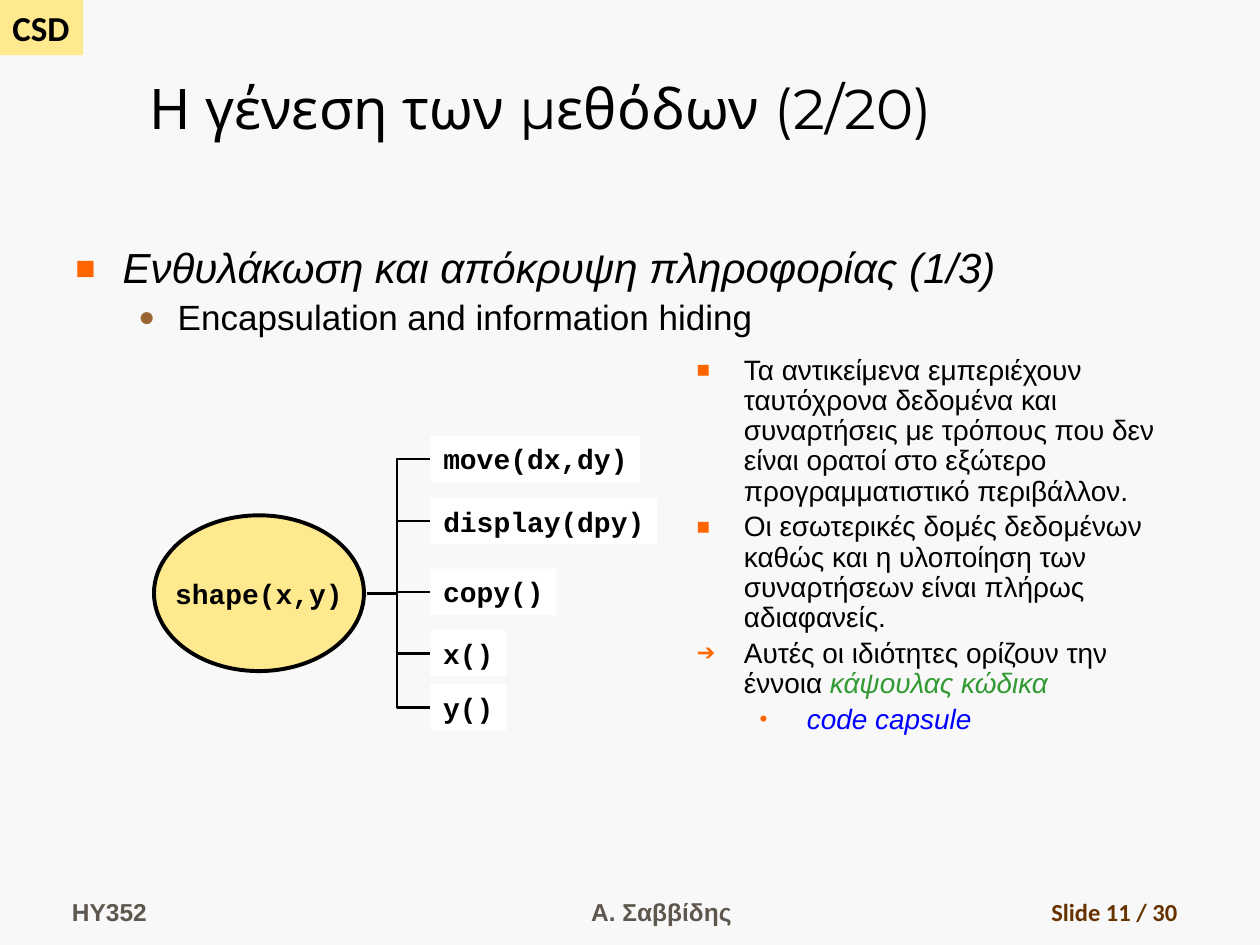
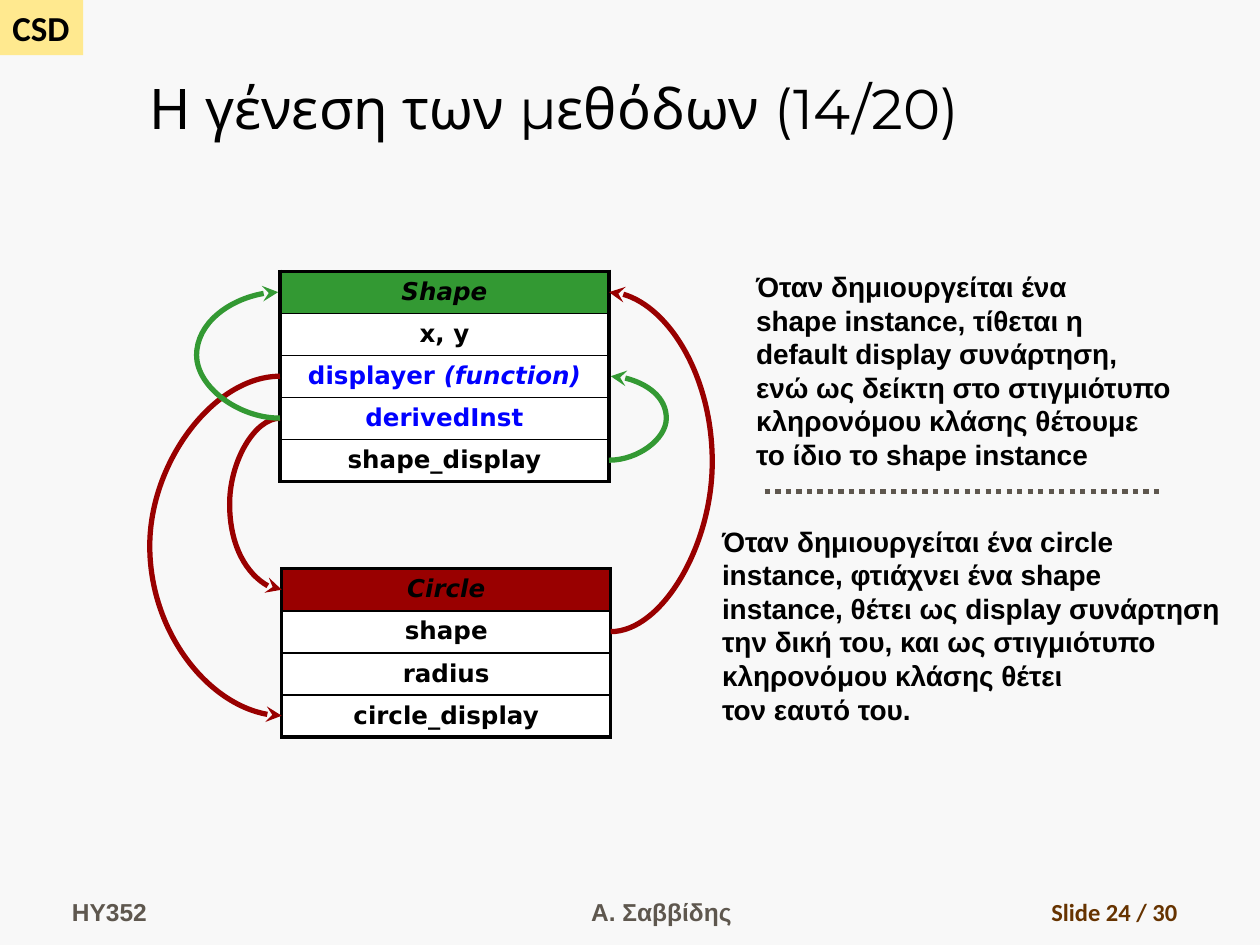
from dataclasses import dataclass

from lxml.etree import SubElement
from pptx import Presentation
from pptx.dml.color import RGBColor
from pptx.enum.dml import MSO_LINE
from pptx.enum.shapes import MSO_CONNECTOR as Connector, MSO_SHAPE as Preset
from pptx.enum.text import MSO_ANCHOR as Anchor, MSO_AUTO_SIZE as AutoSize, PP_ALIGN as Align
from pptx.oxml.ns import qn
from pptx.util import Pt

BLACK = RGBColor(0x00, 0x00, 0x00)
WHITE = RGBColor(0xFF, 0xFF, 0xFF)
PAPER = RGBColor(0xF8, 0xF8, 0xF8)
YELLOW = RGBColor(0xFF, 0xE9, 0x8F)
GRAY = RGBColor(0x5E, 0x57, 0x4E)
DARK_BROWN = RGBColor(0x66, 0x33, 0x00)
BROWN = RGBColor(0x99, 0x66, 0x33)
ORANGE = RGBColor(0xFF, 0x66, 0x00)
GREEN = RGBColor(0x33, 0x99, 0x33)
RED = RGBColor(0x99, 0x00, 0x00)
BLUE = RGBColor(0x00, 0x00, 0xFF)

ROW_HEIGHT = 24
TABLE_WIDTH = 188


@dataclass
class Bullet:
    character: str
    color: RGBColor = ORANGE
    left: float = 27
    hanging: float = 27


@dataclass
class Line:
    text: object
    size: float = 16
    font: str = "Arial"
    color: RGBColor = BLACK
    bold: bool = False
    italic: bool = False
    align: Align = Align.LEFT
    bullet: Bullet = None


class Deck:
    def __init__(self):
        self.presentation = Presentation()
        self.presentation.slide_width = Pt(720)
        self.presentation.slide_height = Pt(540)
        self.slide = None

    def add_slide(self, title, number):
        self.slide = self.presentation.slides.add_slide(self.presentation.slide_layouts[5])
        background = self.slide.background.fill
        background.solid()
        background.fore_color.rgb = PAPER
        self.shape(Preset.RECTANGLE, 0, 0, 47.5, 31.5, YELLOW,
                   Line("CSD", 20, "Calibri", bold=True), grow=True)
        placeholder = self.slide.shapes.title
        self.place(placeholder, 78, 12, 642, 72)
        self.fill_text(placeholder, [Line(title, 32, "Montserrat")], Anchor.BOTTOM)
        self.footer(34, 158, Line("HY352", 14, color=GRAY, bold=True))
        self.footer(264, 228, Line("Α. Σαββίδης", 14, color=GRAY, bold=True, align=Align.CENTER))
        self.footer(530, 150, Line(f"Slide {number} / 30", 14, "Calibri", DARK_BROWN, True,
                                   align=Align.RIGHT))

    def footer(self, left, width, line):
        self.text(left, 497, width, 36, [line], Anchor.BOTTOM)

    def place(self, shape, left, top, width, height):
        shape.left, shape.top = Pt(left), Pt(top)
        shape.width, shape.height = Pt(width), Pt(height)

    def fill_text(self, shape, lines, anchor=Anchor.TOP, wrap=True, grow=False):
        frame = shape.text_frame
        frame.word_wrap = wrap
        frame.auto_size = AutoSize.SHAPE_TO_FIT_TEXT if grow else AutoSize.NONE
        frame.vertical_anchor = anchor
        for index, line in enumerate(lines):
            paragraph = frame.add_paragraph() if index else frame.paragraphs[0]
            self.set_line(paragraph, line)

    def set_line(self, paragraph, line):
        paragraph.alignment = line.align
        if line.bullet:
            paragraph.line_spacing = 0.9
            paragraph.space_before = Pt(line.size * 0.2)
            self.bullet(paragraph, line.bullet)
        font = paragraph.font
        font.name, font.size = line.font, Pt(line.size)
        font.bold, font.italic = line.bold, line.italic
        font.color.rgb = line.color
        if isinstance(line.text, str):
            paragraph.add_run().text = line.text
            return
        for text, color, italic in line.text:
            run = paragraph.add_run()
            run.text = text
            run.font.color.rgb = color
            run.font.italic = italic

    def bullet(self, paragraph, bullet):
        properties = paragraph._p.get_or_add_pPr()
        properties.set("marL", str(Pt(bullet.left)))
        properties.set("indent", str(-Pt(bullet.hanging)))
        color = SubElement(properties, qn("a:buClr"))
        SubElement(color, qn("a:srgbClr"), val=str(bullet.color))
        SubElement(properties, qn("a:buSzPct"), val="80000")
        SubElement(properties, qn("a:buFont"), typeface="Arial")
        SubElement(properties, qn("a:buChar"), char=bullet.character)

    def text(self, left, top, width, height, lines, anchor=Anchor.TOP, wrap=True):
        box = self.slide.shapes.add_textbox(Pt(left), Pt(top), Pt(width), Pt(height))
        self.fill_text(box, lines, anchor, wrap, grow=not wrap)

    def shape(self, preset, left, top, width, height, color, line, outline=None, grow=False):
        shape = self.slide.shapes.add_shape(preset, Pt(left), Pt(top), Pt(width), Pt(height))
        shape.shadow.inherit = False
        shape.fill.solid()
        shape.fill.fore_color.rgb = color
        if outline:
            shape.line.color.rgb = BLACK
            shape.line.width = Pt(outline)
        else:
            shape.line.fill.background()
        self.fill_text(shape, [line], Anchor.TOP if grow else Anchor.MIDDLE, False, grow)

    def connector(self, kind, begin, end, color, width, bend=None, arrow=False, dash=None):
        connector = self.slide.shapes.add_connector(kind, *map(Pt, begin + end))
        connector.line.color.rgb = color
        connector.line.width = Pt(width)
        if dash:
            connector.line.dash_style = dash
        properties = connector._element.spPr
        if bend is not None:
            ratio = (bend - begin[0]) / (end[0] - begin[0])
            guides = properties.find(qn("a:prstGeom")).get_or_add_avLst()
            SubElement(guides, qn("a:gd"), name="adj1", fmla=f"val {round(ratio * 100000)}")
        if arrow:
            SubElement(properties.find(qn("a:ln")), qn("a:tailEnd"), type="stealth")
        SubElement(properties, qn("a:effectLst"))

    def table(self, left, top, header_color, lines):
        frame = self.slide.shapes.add_table(len(lines), 1, Pt(left), Pt(top),
                                            Pt(TABLE_WIDTH), Pt(ROW_HEIGHT * len(lines)))
        table = frame.table
        table.first_row = table.horz_banding = False
        last = len(lines) - 1
        for index, line in enumerate(lines):
            cell = table.cell(index, 0)
            self.borders(cell, 1 if index else 2.25, 2.25 if index == last else 1)
            cell.fill.solid()
            cell.fill.fore_color.rgb = WHITE if index else header_color
            self.set_line(cell.text_frame.paragraphs[0], line)

    def borders(self, cell, top, bottom):
        properties = cell._tc.get_or_add_tcPr()
        for side, width in (("L", 2.25), ("R", 2.25), ("T", top), ("B", bottom)):
            border = SubElement(properties, qn(f"a:ln{side}"), w=str(Pt(width)))
            fill = SubElement(border, qn("a:solidFill"))
            SubElement(fill, qn("a:srgbClr"), val=str(BLACK))


def method_label(text):
    return Line(text, 16, "Courier New", bold=True, align=Align.CENTER)


def field(text, color=BLACK, italic=False):
    return Line(text, 14, "DejaVu Sans", color, True, italic, Align.CENTER)


def row_middle(top, row):
    return top + ROW_HEIGHT * (row + 0.5)


def encapsulation_slide(deck):
    deck.add_slide("Η γένεση των μεθόδων (2/20)", 11)
    square = Bullet("■")
    deck.text(36, 138, 654, 38, [
        Line("Ενθυλάκωση και απόκρυψη πληροφορίας (1/3)", 24, italic=True, bullet=square),
        Line("Encapsulation and information hiding", 20,
             bullet=Bullet("●", BROWN, 58.5, 22.5)),
    ])
    deck.text(391, 200, 286, 272, [
        Line("Τα αντικείμενα εμπεριέχουν ταυτόχρονα δεδομένα και συναρτήσεις με τρόπους "
             "που δεν είναι ορατοί στο εξώτερο προγραμματιστικό περιβάλλον.", bullet=square),
        Line("Οι εσωτερικές δομές δεδομένων καθώς και η υλοποίηση των συναρτήσεων "
             "είναι πλήρως αδιαφανείς.", bullet=square),
        Line([("Αυτές οι ιδιότητες ορίζουν την έννοια ", BLACK, False),
              ("κάψουλας κώδικα", GREEN, True)], bullet=Bullet("➔")),
        Line("code capsule", color=BLUE, italic=True, bullet=Bullet("•", left=63)),
    ])
    deck.shape(Preset.OVAL, 88, 294.5, 120, 89, YELLOW, method_label("shape(x,y)"), outline=2.25)
    methods = (("move(dx,dy)", 249), ("display(dpy)", 284.5), ("copy()", 325),
               ("x()", 360), ("y()", 391))
    for name, top in methods:
        deck.shape(Preset.RECTANGLE, 246, top, 9.6 * len(name) + 14.4, 26.6, WHITE,
                   method_label(name), grow=True)
        deck.connector(Connector.ELBOW, (209.5, 339), (246, top + 13.3), BLACK, 1.5, bend=227)


def instances_slide(deck):
    deck.add_slide("Η γένεση των μεθόδων (14/20)", 24)
    shape_left, shape_top = 160, 155
    circle_left, circle_top = 161, 325
    deck.table(shape_left, shape_top, GREEN, [
        field("Shape", italic=True),
        field("x, y"),
        field([("displayer ", BLUE, False), ("(function)", BLUE, True)]),
        field("derivedInst", BLUE),
        field("shape_display"),
    ])
    deck.table(circle_left, circle_top, RED, [
        field("Circle", italic=True), field("shape"), field("radius"), field("circle_display"),
    ])
    shape_right = shape_left + TABLE_WIDTH
    circle_right = circle_left + TABLE_WIDTH
    header, displayer, derived, display = (row_middle(shape_top, row) for row in (0, 2, 3, 4))
    circle_header, circle_shape, circle_display = (
        row_middle(circle_top, row) for row in (0, 1, 3))
    references = (
        ((shape_right, display), (shape_right + 1, displayer), GREEN, 381),
        ((circle_right, circle_shape), (shape_right, header), RED, 407.5),
        ((shape_left, displayer), (circle_left, circle_display), RED, 85),
        ((shape_left, derived), (circle_left, circle_header), RED, 131),
        ((shape_left, derived), (shape_left - 1, header), GREEN, 112),
    )
    for begin, end, color, bend in references:
        deck.connector(Connector.CURVE, begin, end, color, 3, bend, arrow=True)
    deck.connector(Connector.STRAIGHT, (437, 281), (663, 281), GRAY, 3, dash=MSO_LINE.ROUND_DOT)
    notes = (
        (425, 150.5, 254, ("Όταν δημιουργείται ένα", "shape instance, τίθεται η",
                           "default display συνάρτηση,", "ενώ ως δείκτη στο στιγμιότυπο",
                           "κληρονόμου κλάσης θέτουμε", "το ίδιο το shape instance")),
        (405.5, 296, 301, ("Όταν δημιουργείται ένα circle", "instance, φτιάχνει ένα shape",
                           "instance, θέτει ως display συνάρτηση",
                           "την δική του, και ως στιγμιότυπο",
                           "κληρονόμου κλάσης θέτει", "τον εαυτό του.")),
    )
    for left, top, width, texts in notes:
        deck.text(left, top, width, 122.5, [Line(text, bold=True) for text in texts], wrap=False)


deck = Deck()
encapsulation_slide(deck)
instances_slide(deck)
deck.presentation.save("out.pptx")
